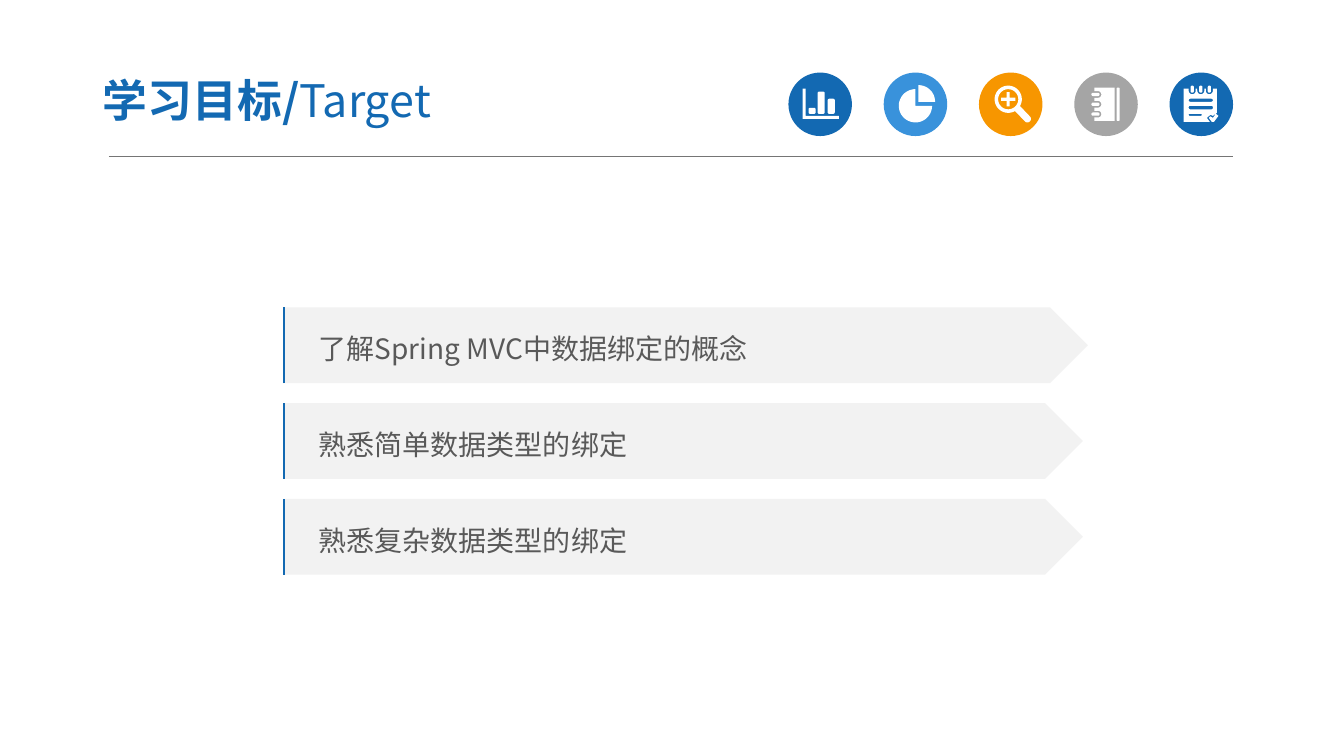
import math

import pptx
import pptx.dml.color
import pptx.enum.shapes
import pptx.enum.text
import pptx.oxml.ns
import pptx.util
from lxml import etree

COLORS = {
    "blue": "1369B2",
    "sky": "3992DB",
    "orange": "F79600",
    "silver": "A5A5A5",
    "plate": "F2F2F2",
    "body": "595959",
    "rule": "757575",
    "white": "FFFFFF",
}
FONT = "Noto Sans CJK SC"
COLUMNS, ROWS = 133.3, 75
SHAPES = pptx.enum.shapes.MSO_SHAPE


def arc(x, y, radius, start, end, steps=20):
    """Return points along an arc, with angles running clockwise from the right."""
    angles = [math.radians(start + (end - start) * i / steps) for i in range(steps + 1)]
    return [(x + radius * math.cos(a), y + radius * math.sin(a)) for a in angles]


def pill(x, y, width, height, radius=1.5):
    """Return the outline of a rounded bar."""
    left, right = x + radius, x + width - radius
    top, bottom = y + radius, y + height - radius
    corners = [(right, top, -90), (right, bottom, 0), (left, bottom, 90), (left, top, 180)]
    return [point for cx, cy, turn in corners
            for point in arc(cx, cy, radius, turn, turn + 90, 6)]


def chart_icon():
    """Return the outlines of a column chart with its axes."""
    axes = [(-17.5, -15.5), (-14.5, -15.5), (-14.5, 11.5), (18.5, 11.5), (18.5, 14.5), (-17.5, 14.5)]
    columns = [(-11.5, 6), (-2.5, 22), (7.5, 15)]
    return [axes] + [pill(x, 9.5 - height, 7, height) for x, height in columns]


def pie_icon():
    """Return the outlines of a pie with one slice pulled out."""
    return [[(3, -2.5)] + arc(3, -2.5, 16.5, -90, 0),
            [(0, 1.5)] + arc(0, 1.5, 16.5, 0, 270, 40)]


def lens_icon():
    """Return the outlines of a magnifying glass with a plus sign."""
    x, y, arm, half = -2.5, -5, 7, 1.5
    glass = arc(x, y, 13.5, 60, 390, 40) + arc(16.5, 14.5, 3.5, -45, 135)
    plus = [(half, -arm), (half, -half), (arm, -half), (arm, half), (half, half), (half, arm),
            (-half, arm), (-half, half), (-arm, half), (-arm, -half), (-half, -half), (-half, -arm)]
    return [glass, arc(x, y, 10, 0, 360, 40), [(x + dx, y + dy) for dx, dy in plus]]


def notebook_icon():
    """Return the outlines of a ring-bound notebook."""
    rings = [9.75, 0, -9.75]
    cover = [(8.5, -16.5), (8.5, 16.5), (-11.5, 16.5)]
    for y in rings:
        cover += [(-11.5, y + 3.3)] + arc(-8, y, 3.3, 90, -90) + [(-11.5, y - 3.3)]
    cover.append((-11.5, -16.5))
    return [cover, pill(10.5, -16.5, 3, 33, 1)] + [pill(-14.5, y - 1.6, 8, 3.2) for y in rings]


def notepad_icon():
    """Return the outlines of a notepad with written lines and a tick."""
    rings = [-9, -0.5, 8]
    sheet = [(-17.5, -15.5)]
    for x in rings:
        sheet += [(x - 3.5, -15.5)] + arc(x, -13.5, 3.5, 180, 0) + [(x + 3.5, -15.5)]
    sheet += [(15.5, -15.5), (15.5, 8.5), (11.5, 11.5), (9, 10.5),
              (5.5, 13.5), (8.5, 17.5), (-17.5, 17.5)]
    tick = [(7.5, 13.5), (9, 12), (11.5, 13.5), (14.5, 9.5), (17, 11.5), (12.5, 17.5), (10.5, 17.5)]
    lines = [pill(-12.5, -5.5, 24, 3), pill(-12.5, 1.5, 24, 3.5), pill(-12.5, 9.5, 13, 2, 1)]
    return [sheet, tick] + lines + [pill(x - 1.6, -18.5, 3.2, 7) for x in rings]


class Page:
    """Draw styled elements on one slide, measured in grid columns and rows."""

    def __init__(self, deck):
        """Add a blank slide and work out the grid cell."""
        self.shapes = deck.slides.add_slide(deck.slide_layouts[6]).shapes
        self.column = deck.slide_width / COLUMNS
        self.row = deck.slide_height / ROWS

    def cells(self, *lengths):
        """Turn alternating columns and rows into lengths."""
        return [pptx.util.Emu(round(length * (self.row if i % 2 else self.column)))
                for i, length in enumerate(lengths)]

    def color(self, name):
        """Return a named colour."""
        return pptx.dml.color.RGBColor.from_string(COLORS[name])

    def paint(self, shape, fill):
        """Give a shape a flat fill without outline or shadow."""
        shape.shadow.inherit = False
        shape.fill.solid()
        shape.fill.fore_color.rgb = self.color(fill)
        shape.line.fill.background()
        return shape

    def block(self, kind, area, fill):
        """Add a flat preset shape."""
        return self.paint(self.shapes.add_shape(kind, *self.cells(*area)), fill)

    def icon(self, x, y, outlines):
        """Add a white icon centred on a grid point."""
        builder = None
        for first, *rest in [[(round(px * 100), round(py * 100)) for px, py in outline]
                             for outline in outlines]:
            if builder is None:
                builder = self.shapes.build_freeform(*first, scale=self.column / 1000)
            else:
                builder.move_to(*first)
            builder.add_line_segments(rest, close=True)
        self.paint(builder.convert_to_shape(*self.cells(x, y)), "white")

    def line(self, ends, color, width):
        """Add a straight line."""
        line = self.shapes.add_connector(pptx.enum.shapes.MSO_CONNECTOR.STRAIGHT, *self.cells(*ends))
        line.line.color.rgb = self.color(color)
        line.line.width = pptx.util.Pt(width)
        etree.SubElement(line._element.spPr, pptx.oxml.ns.qn("a:effectLst"))

    def text(self, shape, spans, color, size, margins, spacing=1.0):
        """Write one left-aligned paragraph of spans, given as text and weight."""
        box = shape.text_frame
        left, top, right, bottom = self.cells(*margins)
        frame = {"word_wrap": True, "vertical_anchor": pptx.enum.text.MSO_ANCHOR.MIDDLE,
                 "margin_left": left, "margin_top": top,
                 "margin_right": right, "margin_bottom": bottom}
        for name, value in frame.items():
            setattr(box, name, value)
        para = box.paragraphs[0]
        para.alignment = pptx.enum.text.PP_ALIGN.LEFT
        para.line_spacing = spacing
        for words, bold in spans:
            span = para.add_run()
            span.text = words
            for name, value in {"name": FONT, "size": pptx.util.Pt(size), "bold": bold}.items():
                setattr(span.font, name, value)
            span.font.color.rgb = self.color(color)
            east = etree.SubElement(span._r.get_or_add_rPr(), pptx.oxml.ns.qn("a:ea"))
            east.set("typeface", FONT)

    def title(self, area, spans):
        """Add the page title."""
        box = self.shapes.add_textbox(*self.cells(*area))
        self.text(box, spans, "blue", 32, (1.3, 0.7, 1.3, 0.7))

    def badge(self, x, y, size, fill, outlines):
        """Add a round badge with an icon, centred on a grid point."""
        self.block(SHAPES.OVAL, (x - size / 2, y - size / 2, size, size), fill)
        self.icon(x, y, outlines)

    def goal(self, x, y, width, height, words):
        """Add a pointed plate with a blue edge and one learning goal."""
        plate = self.block(SHAPES.PENTAGON, (x, y, width, height), "plate")
        self.text(plate, [(words, False)], "body", 20, (3.5, 0.5, 1, 0.5), 1.2)
        self.line((x + 0.1, y + height, x + 0.1, y), "blue", 1.5)


def main():
    """Build the learning goals slide."""
    deck = pptx.Presentation()
    deck.slide_width, deck.slide_height = pptx.util.Inches(13.33), pptx.util.Inches(7.5)
    page = Page(deck)
    page.line((10.8, 15.5, 122.3, 15.5), "rule", 0.5)
    badges = [("blue", chart_icon), ("sky", pie_icon), ("orange", lens_icon),
              ("silver", notebook_icon), ("blue", notepad_icon)]
    for index, (fill, icon) in enumerate(badges):
        page.badge(81.35 + 9.45 * index, 10.35, 6.3, fill, icon())
    page.title((8.9, 6.3, 52.2, 7.2), [("学习目标/", True), ("Target", False)])
    goals = [("了解Spring MVC中数据绑定的概念", 79.8),
             ("熟悉简单数据类型的绑定", 79.3),
             ("熟悉复杂数据类型的绑定", 79.3)]
    for index, (words, width) in enumerate(goals):
        page.goal(28.1, 30.5 + 9.5 * index, width, 7.5, words)
    deck.save("out.pptx")


if __name__ == "__main__":
    main()
